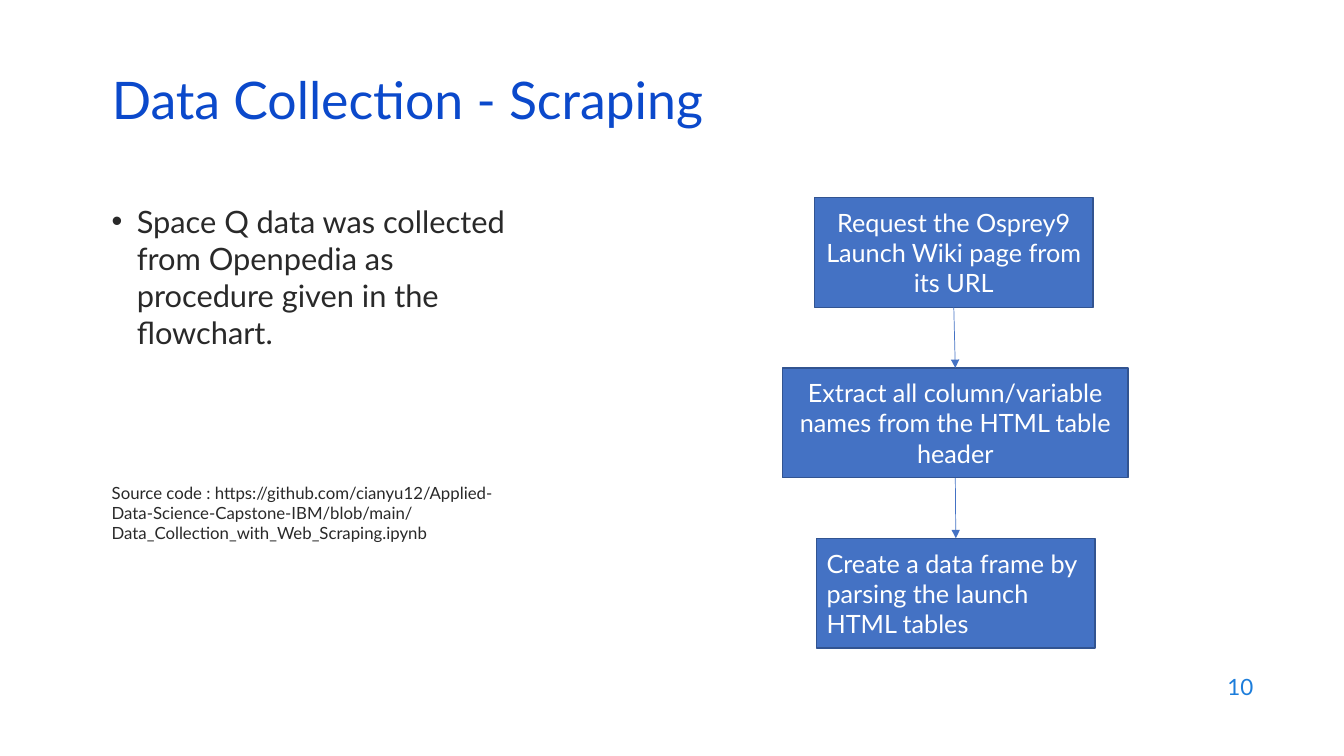
from lxml import etree
from pptx import Presentation
from pptx.dml.color import RGBColor
from pptx.enum.shapes import MSO_CONNECTOR, MSO_SHAPE
from pptx.enum.text import MSO_ANCHOR, MSO_AUTO_SIZE, PP_ALIGN
from pptx.oxml.ns import qn
from pptx.util import Pt

PX = 9144  # EMU per px, 100 px to the inch
FONT = "Lato"
LEFT, MID, RIGHT = PP_ALIGN.LEFT, PP_ALIGN.CENTER, PP_ALIGN.RIGHT
TOP, CENTRE = MSO_ANCHOR.TOP, MSO_ANCHOR.MIDDLE
RECT, LINE, FIXED = MSO_SHAPE.RECTANGLE, MSO_CONNECTOR.STRAIGHT, MSO_AUTO_SIZE.NONE
BASE, HEAD = 2, 0  # connection sites of a rectangle

HUES = {
    "title": "0B49CB",
    "text": "292929",
    "page": "1C7DDB",
    "fill": "4472C4",
    "edge": "325491",
    "white": "FFFFFF",
}

# Flowchart steps: left, width, alignment, wording
STEP_TOP, STEP_GAP, STEP_H = 196, 169, 109
STEPS = [
    (808, 276, MID, "Request the Osprey9 Launch Wiki page from its URL"),
    (776, 343, MID, "Extract all column/variable names from the HTML table header"),
    (810, 276, LEFT, "Create a data frame by parsing the launch HTML tables"),
]


def hue(name):
    return RGBColor.from_string(HUES[name])


def scale(*sizes):
    return [size * PX for size in sizes]


def put_text(shape, text, size, tint, align=LEFT, anchor=TOP, bullet=False):
    frame = shape.text_frame
    frame.text = text
    form = {"word_wrap": True, "auto_size": FIXED, "vertical_anchor": anchor}
    for key, value in form.items():
        setattr(frame, key, value)
    para = frame.paragraphs[0]
    para.alignment = align
    if bullet:
        add_bullet(para)
    for key, value in {"name": FONT, "size": Pt(size)}.items():
        setattr(para.runs[0].font, key, value)
    para.runs[0].font.color.rgb = hue(tint)
    return para


def add_bullet(para):
    props = para._p.get_or_add_pPr()
    props.set("marL", str(25 * PX))
    props.set("indent", str(-25 * PX))
    etree.SubElement(props, qn("a:buFont")).set("typeface", "Arial")
    etree.SubElement(props, qn("a:buChar")).set("char", "•")


def add_title(slide, text):
    title = slide.shapes.title
    spots = zip(("left", "top", "width", "height"), scale(101, 76, 1150, 60))
    for key, value in spots:
        setattr(title, key, value)
    put_text(title, text, 37, "title", anchor=CENTRE).line_spacing = 0.7


def add_text(slide, spot, text, size, tint, **form):
    box = slide.shapes.add_textbox(*scale(*spot))
    put_text(box, text, size, tint, **form)


def add_step(slide, spot, text, align):
    step = slide.shapes.add_shape(RECT, *scale(*spot))
    step.shadow.inherit = False
    step.fill.solid()
    step.fill.fore_color.rgb = hue("fill")
    step.line.color.rgb = hue("edge")
    step.line.width = Pt(1)
    put_text(step, text, 18, "white", align, CENTRE)
    return step


def add_arrow(slide, start, end):
    arrow = slide.shapes.add_connector(LINE, 0, 0, 0, 0)
    arrow.begin_connect(start, BASE)
    arrow.end_connect(end, HEAD)
    arrow.line.color.rgb = hue("fill")
    arrow.line.width = Pt(0.5)
    edge = arrow.line._get_or_add_ln()
    etree.SubElement(edge, qn("a:tailEnd")).set("type", "triangle")
    etree.SubElement(arrow._element.spPr, qn("a:effectLst"))


def main():
    deck = Presentation()
    deck.slide_width, deck.slide_height = scale(1333, 750)
    slide = deck.slides.add_slide(deck.slide_layouts[5])

    # Title and text column
    add_title(slide, "Data Collection - Scraping")
    add_text(slide, (101, 196, 430, 170),
             "Space Q data was collected from Openpedia as procedure given "
             "in the flowchart.", 22, "text", bullet=True)
    add_text(slide, (101, 474, 430, 75),
             "Source code : https://github.com/cianyu12/Applied-Data-Science-"
             "Capstone-IBM/blob/main/Data_Collection_with_Web_Scraping.ipynb",
             12, "text")

    # Flowchart
    steps = []
    for row, (left, width, align, text) in enumerate(STEPS):
        spot = (left, STEP_TOP + row * STEP_GAP, width, STEP_H)
        steps.append(add_step(slide, spot, text, align))
    for start, end in zip(steps, steps[1:]):
        add_arrow(slide, start, end)

    # Page number
    add_text(slide, (953, 659, 300, 44), "10", 16, "page",
             align=RIGHT, anchor=CENTRE)

    deck.save("out.pptx")


if __name__ == "__main__":
    main()
